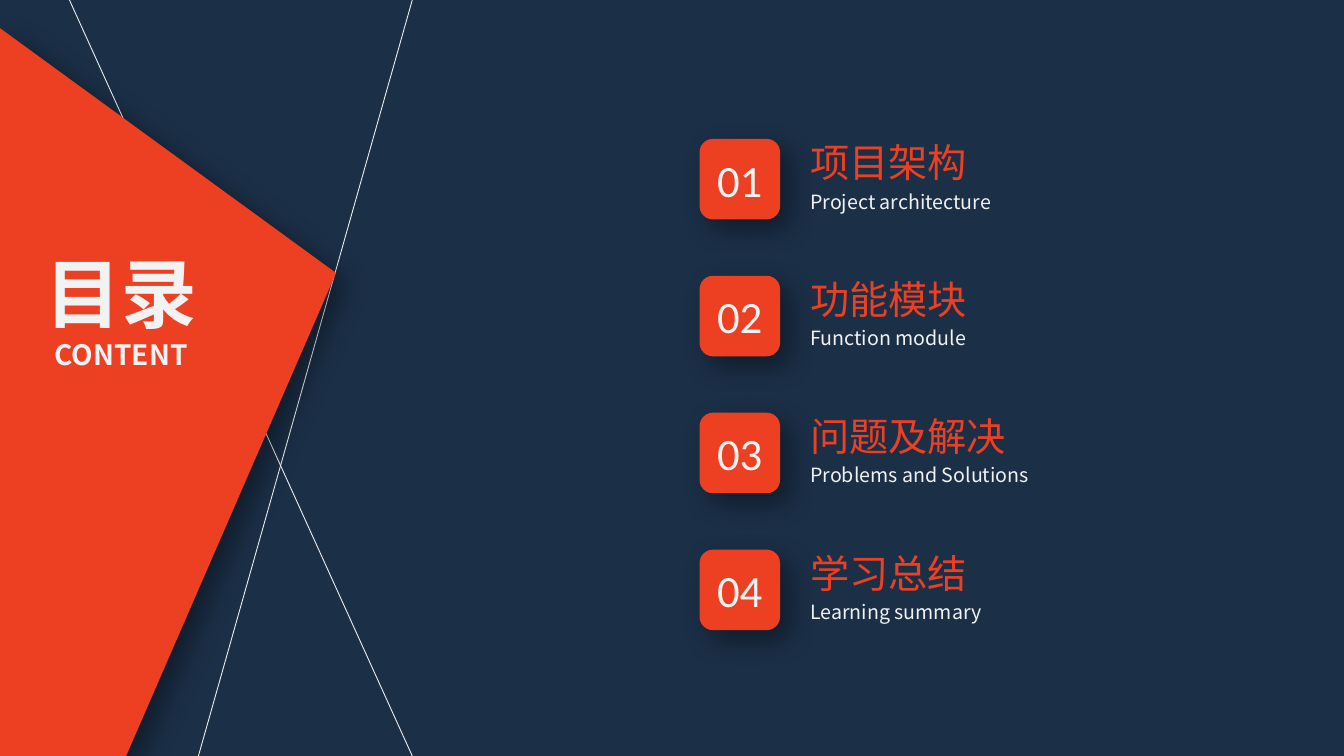
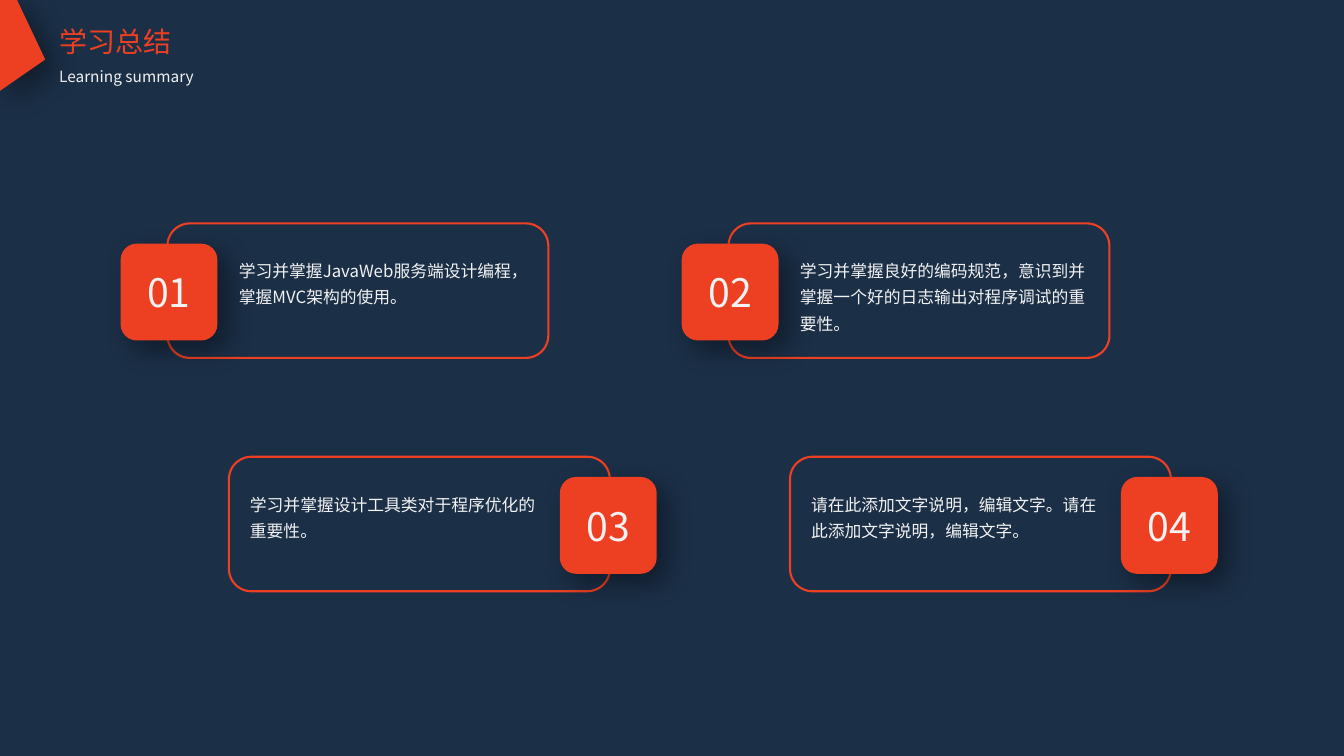
import pptx
import pptx.dml.color
import pptx.enum.shapes
import pptx.enum.text
import pptx.oxml.ns
import pptx.util
from lxml import etree

Cm, Pt = pptx.util.Cm, pptx.util.Pt
Shape = pptx.enum.shapes.MSO_SHAPE
Align = pptx.enum.text.PP_ALIGN
Anchor = pptx.enum.text.MSO_ANCHOR
qn = pptx.oxml.ns.qn

WIDTH, HEIGHT = 33.87, 19.05
COLORS = {"navy": "1B2F47", "red": "ED4022", "white": "F2F2F2",
          "black": "000000", "gray": "808080"}
FONT = "Noto Sans CJK SC"
# Shadow: colour, opacity in percent, blur and distance in points
DEEP = ("black", 40, 20, 10)
SOFT = ("gray", 20, 50, 20)


def rgb(name):
    return pptx.dml.color.RGBColor.from_string(COLORS[name])


class Deck:
    def __init__(self):
        self.prs = pptx.Presentation()
        self.prs.slide_width, self.prs.slide_height = Cm(WIDTH), Cm(HEIGHT)
        back = self.prs.slide_master.background.fill
        back.solid()
        back.fore_color.rgb = rgb("navy")

    def start(self):
        layout = self.prs.slide_layouts.get_by_name("Title Only")
        self.slide = self.prs.slides.add_slide(layout)

    def label(self, frame, text, sizes, color, font=FONT, bold=False,
              align=Align.LEFT, space=None, anchor=Anchor.TOP):
        """Fill a frame, with one size for each line of the text."""
        frame.text = text
        frame.word_wrap = True
        frame.auto_size = pptx.enum.text.MSO_AUTO_SIZE.NONE
        frame.vertical_anchor = anchor
        for para, size in zip(frame.paragraphs, sizes):
            para.alignment = align
            if space:
                para.line_spacing = space
            for run in para.runs:
                run.font.size, run.font.bold = Pt(size), bold
                run.font.color.rgb = rgb(color)
                run.font.name = font
                east = etree.SubElement(run.font._element, qn("a:ea"))
                east.set("typeface", font)

    def title(self, x, y, w, h, text, sizes, color, **style):
        """Place the title in front of what is drawn so far."""
        box = self.slide.shapes.title
        box.left, box.top, box.width, box.height = map(Cm, (x, y, w, h))
        self.label(box.text_frame, text, sizes, color, **style)
        box.element.getparent().append(box.element)

    def text(self, x, y, w, h, text, size, color="white", **style):
        box = self.slide.shapes.add_textbox(*map(Cm, (x, y, w, h)))
        self.label(box.text_frame, text, [size], color, **style)

    def shade(self, shape, color, alpha, blur, dist):
        """Give a shape a soft shadow towards its lower right."""
        shape.shadow.inherit = False
        effects = shape._element.spPr.find(qn("a:effectLst"))
        outer = etree.SubElement(effects, qn("a:outerShdw"), blurRad=str(Pt(blur)),
                                 dist=str(Pt(dist)), dir=str(45 * 60000),
                                 algn="tl", rotWithShape="0")
        tint = etree.SubElement(outer, qn("a:srgbClr"), val=COLORS[color])
        etree.SubElement(tint, qn("a:alpha"), val=str(alpha * 1000))

    def paint(self, shape):
        shape.fill.solid()
        shape.fill.fore_color.rgb = rgb("red")
        shape.line.fill.background()
        self.shade(shape, *DEEP)

    def wedge(self, *points):
        first, *rest = [(Cm(x), Cm(y)) for x, y in points]
        form = self.slide.shapes.build_freeform(*first)
        form.add_line_segments(rest, close=True)
        self.paint(form.convert_to_shape())

    def box(self, x, y, w, h):
        return self.slide.shapes.add_shape(
            Shape.ROUNDED_RECTANGLE, *map(Cm, (x, y, w, h)))

    def tile(self, x, y, side, text, size, font=FONT):
        tile = self.box(x, y, side, side)
        self.paint(tile)
        self.label(tile.text_frame, text, [size], "white", font=font,
                   align=Align.CENTER, anchor=Anchor.MIDDLE)

    def frame(self, x, y, w, h):
        frame = self.box(x, y, w, h)
        frame.fill.background()
        frame.line.color.rgb = rgb("red")
        frame.line.width = Pt(1.5)
        self.shade(frame, *SOFT)

    def line(self, x1, y1, x2, y2):
        line = self.slide.shapes.add_connector(
            pptx.enum.shapes.MSO_CONNECTOR.STRAIGHT, *map(Cm, (x1, y1, x2, y2)))
        line.line.color.rgb = rgb("white")
        line.line.width = Pt(0.63)
        etree.SubElement(line._element.spPr, qn("a:effectLst"))


def contents(deck):
    deck.start()
    deck.line(10.39, 0, 5, HEIGHT)
    deck.line(10.39, HEIGHT, 1.75, 0)
    deck.wedge((3.18, HEIGHT), (0, HEIGHT), (0, 0.71), (8.47, 6.88))
    deck.title(0.61, 6.1, 4.88, 3.43, "目录\nCONTENT", [54, 20], "white",
               bold=True, align=Align.CENTER)
    topics = [("项目架构", "Project architecture"),
              ("功能模块", "Function module"),
              ("问题及解决", "Problems and Solutions"),
              ("学习总结", "Learning summary")]
    for i, (name, sub) in enumerate(topics):
        top = 3.5 + i * 3.45
        deck.tile(17.63, top, 2.03, f"{i + 1:02}", 32, font="Calibri")
        deck.text(20.17, top + 1.15, 8.05, 0.86, sub, 14)
        deck.text(20.17, top - 0.14, 8.05, 1.45, name, 28, "red")


def summary(deck):
    deck.start()
    deck.title(1.24, 0.48, 7.77, 1.12, "学习总结", [20], "red")
    deck.text(1.24, 1.42, 7.77, 0.86, "Learning summary", 11, space=1.3)
    deck.wedge((0.43, 0), (0, 0), (0, 2.29), (1.14, 1.5))
    notes = ["学习并掌握JavaWeb服务端设计编程，掌握MVC架构的使用。",
             "学习并掌握良好的编码规范，意识到并掌握一个好的日志输出对程序调试的重要性。",
             "学习并掌握设计工具类对于程序优化的重要性。",
             "请在此添加文字说明，编辑文字。请在此添加文字说明，编辑文字。"]
    wide, high, side, body = 9.6, 3.39, 2.44, 7.77
    over, inset = 1.18, 1.55
    for i, note in enumerate(notes):
        row, col = divmod(i, 2)
        x, y = 4.22 + col * 14.14 + row * 1.55, 5.63 + row * 5.88
        # The lower row mirrors the upper one
        edge = wide - side + over if row else -over
        start = wide - body - inset if row else inset
        deck.frame(x, y, wide, high)
        deck.tile(x + edge, y + 0.51, side, f"{i + 1:02}", 28)
        deck.text(x + start, y + 0.67, body, 2.26, note, 12, space=1.3)


def main():
    deck = Deck()
    contents(deck)
    summary(deck)
    deck.prs.save("out.pptx")


if __name__ == "__main__":
    main()
